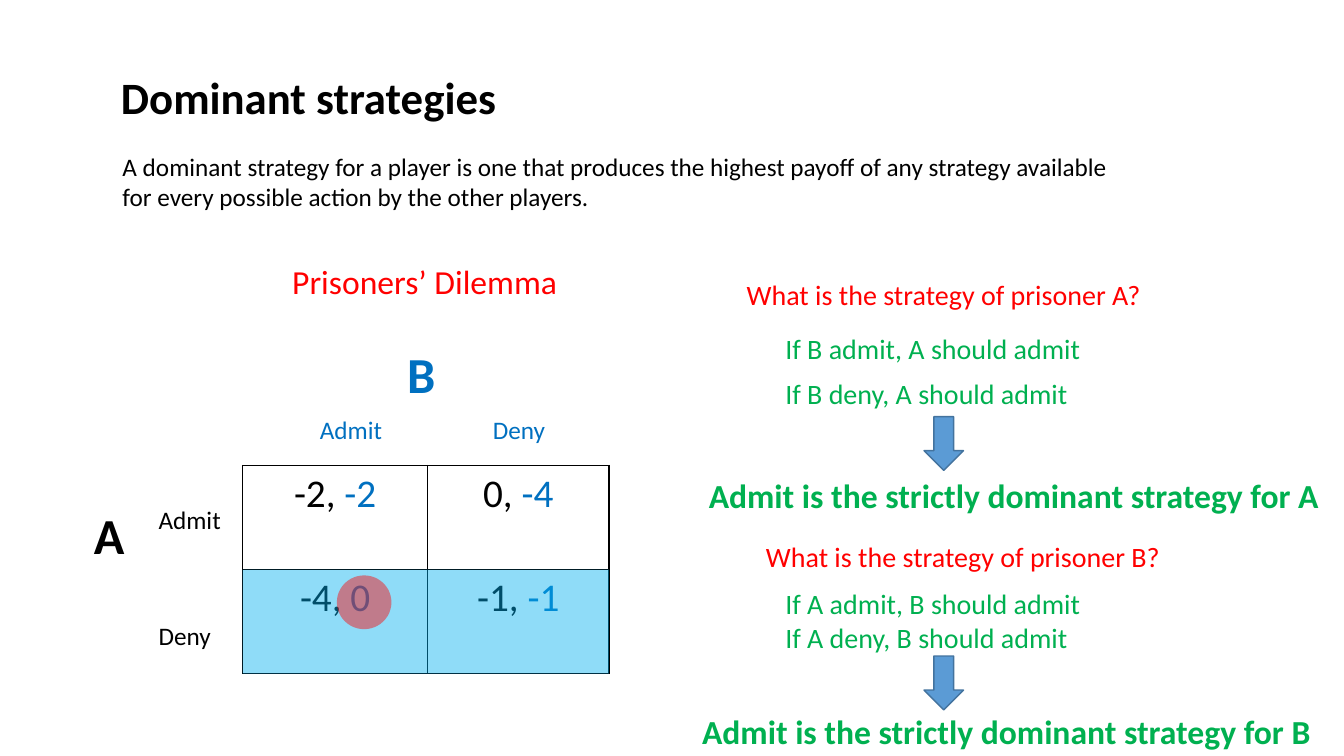
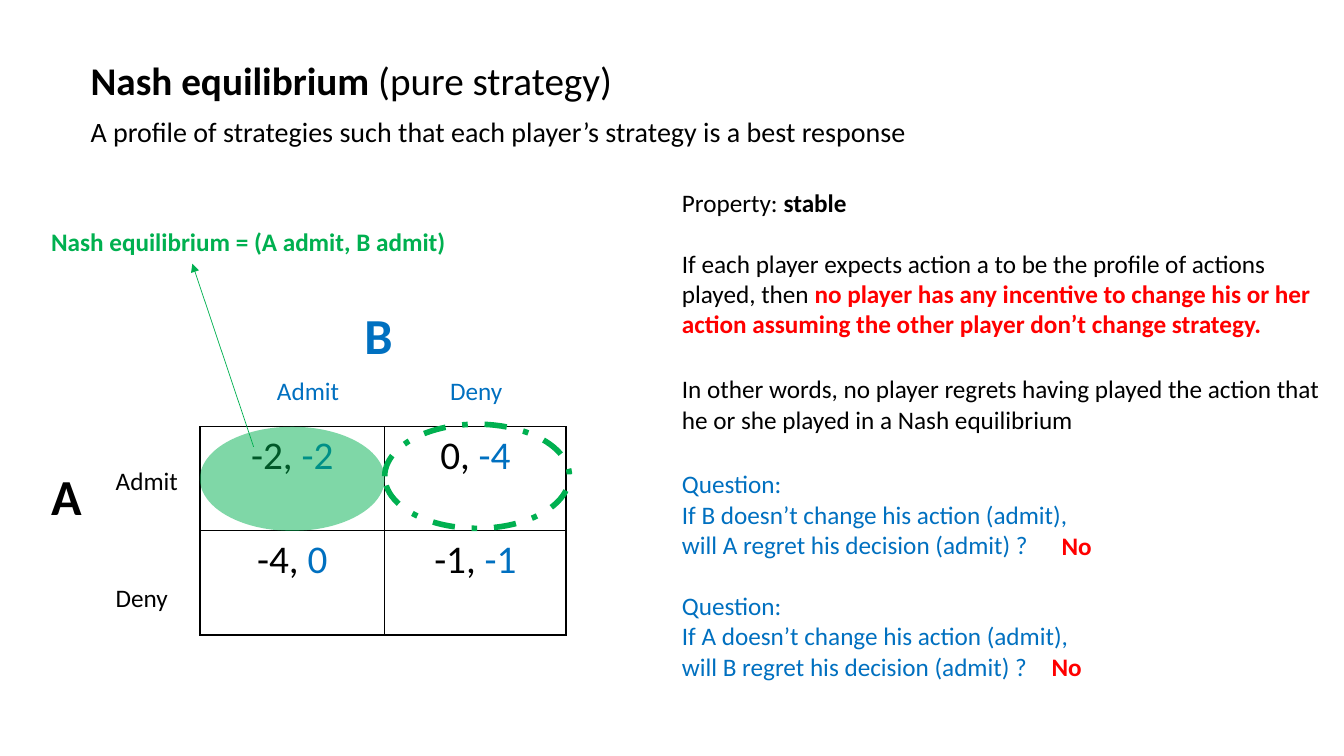
"""Builds two game theory slides on dominant strategies and Nash equilibrium."""
import lxml.etree
import pptx
import pptx.dml.color
import pptx.enum.dml
import pptx.enum.shapes
import pptx.enum.text
import pptx.oxml.ns
import pptx.util

RGBColor = pptx.dml.color.RGBColor
BLACK = RGBColor(0x00, 0x00, 0x00)
BLUE = RGBColor(0x00, 0x70, 0xC0)
RED = RGBColor(0xFF, 0x00, 0x00)
GREEN = RGBColor(0x00, 0xB0, 0x50)
SKY = RGBColor(0x00, 0xB0, 0xF0)
STEEL = RGBColor(0x5B, 0x9B, 0xD5)
STEEL_EDGE = RGBColor(0x43, 0x73, 0x9E)

FONT = "Calibri"
COLUMNS, ROWS = 160, 90
LEFT = pptx.enum.text.PP_ALIGN.LEFT
CENTER = pptx.enum.text.PP_ALIGN.CENTER
SHAPES = pptx.enum.shapes.MSO_SHAPE
qn = pptx.oxml.ns.qn

ACTIONS = ("Admit", "Deny")
PAYOFFS = ((("-2", "-2"), ("0", "-4")), (("-4", "0"), ("-1", "-1")))
CELL_WIDTHS = (22, 21.6)
CELL_HEIGHT = 12.4


class Deck:
    """Holds the style and the current slide; lengths are grid columns and rows."""

    def __init__(self):
        self.deck = pptx.Presentation()
        self.deck.slide_width = pptx.util.Inches(13.33)
        self.deck.slide_height = pptx.util.Inches(7.5)
        self.slide = None

    def x(self, columns):
        return round(self.deck.slide_width * columns / COLUMNS)

    def y(self, rows):
        return round(self.deck.slide_height * rows / ROWS)

    def box(self, left, top, width, height):
        return self.x(left), self.y(top), self.x(width), self.y(height)

    def add_runs(self, paragraph, runs, size, align=LEFT):
        paragraph.alignment = align
        for words, color, bold in runs:
            run = paragraph.add_run()
            run.text = words
            run.font.name = FONT
            run.font.size = pptx.util.Pt(size)
            run.font.bold = bold
            run.font.color.rgb = color

    def add_slide(self, left, top, width, size, *runs):
        self.slide = self.deck.slides.add_slide(self.deck.slide_layouts[5])
        title = self.slide.shapes.title
        title.left, title.top, title.width, title.height = self.box(
            left, top, width, 1.2 + size / 5)
        title.text_frame.word_wrap = False
        title.text_frame.auto_size = pptx.enum.text.MSO_AUTO_SIZE.NONE
        title.text_frame.vertical_anchor = pptx.enum.text.MSO_ANCHOR.TOP
        self.add_runs(title.text_frame.paragraphs[0], runs, size)

    def text(self, left, top, width, size, *paragraphs, lines=1, gap=0, wrap=True):
        area = self.box(left, top, width, 1.2 + lines * size / 5)
        frame = self.slide.shapes.add_textbox(*area).text_frame
        frame.word_wrap = wrap
        frame.auto_size = pptx.enum.text.MSO_AUTO_SIZE.SHAPE_TO_FIT_TEXT
        for number, runs in enumerate(paragraphs):
            paragraph = frame.add_paragraph() if number else frame.paragraphs[0]
            paragraph.space_before = pptx.util.Pt(gap if number else 0)
            self.add_runs(paragraph, runs, size)

    def label(self, left, top, width, size, words, color, bold=False, **options):
        self.text(left, top, width, size, [(words, color, bold)], **options)

    def shape(self, kind, left, top, width, height, fill=None, opacity=100,
              line=None, weight=1, dash=None):
        figure = self.slide.shapes.add_shape(kind, *self.box(left, top, width, height))
        figure.shadow.inherit = False
        if fill is None:
            figure.fill.background()
        else:
            figure.fill.solid()
            figure.fill.fore_color.rgb = fill
        if opacity < 100:
            color = figure._element.spPr.find(qn("a:solidFill"))[0]
            lxml.etree.SubElement(color, qn("a:alpha"), val=str(opacity * 1000))
        if line is None:
            figure.line.fill.background()
        else:
            figure.line.color.rgb = line
            figure.line.width = pptx.util.Pt(weight)
            figure.line.dash_style = dash

    def arrow(self, start, end, color, weight):
        pointer = self.slide.shapes.add_connector(
            pptx.enum.shapes.MSO_CONNECTOR.STRAIGHT,
            self.x(start[0]), self.y(start[1]), self.x(end[0]), self.y(end[1]))
        pointer.line.color.rgb = color
        pointer.line.width = pptx.util.Pt(weight)
        properties = pointer._element.spPr
        lxml.etree.SubElement(properties.find(qn("a:ln")), qn("a:tailEnd"), type="triangle")
        lxml.etree.SubElement(properties, qn("a:effectLst"))

    def border(self, cell):
        properties = cell._tc.get_or_add_tcPr()
        for side in ("a:lnL", "a:lnR", "a:lnT", "a:lnB"):
            edge = lxml.etree.SubElement(properties, qn(side), w=str(int(pptx.util.Pt(1))))
            ink = lxml.etree.SubElement(edge, qn("a:solidFill"))
            lxml.etree.SubElement(ink, qn("a:srgbClr"), val=str(BLACK))

    def payoff_matrix(self, left, top):
        area = self.box(left, top, sum(CELL_WIDTHS), 2 * CELL_HEIGHT)
        matrix = self.slide.shapes.add_table(2, 2, *area).table
        matrix.first_row = matrix.horz_banding = False
        for column, width in zip(matrix.columns, CELL_WIDTHS):
            column.width = self.x(width)
        for row, payoffs in zip(matrix.rows, PAYOFFS):
            row.height = self.y(CELL_HEIGHT)
            for cell, (payoff_a, payoff_b) in zip(row.cells, payoffs):
                self.border(cell)
                cell.fill.background()
                runs = [(payoff_a + ", ", BLACK, False), (payoff_b, BLUE, False)]
                self.add_runs(cell.text_frame.paragraphs[0], runs, 28, CENTER)
        self.label(left - 18.9, top + 4, 6.8, 36, "A", BLACK, True)
        self.label(left + 18.4, top - 15.2, 6.8, 36, "B", BLUE, True)
        for number, action in enumerate(ACTIONS):
            self.label(left + 8 + 20.6 * number, top - 6.7, 10.3, 18, action, BLUE)
            self.label(left - 11.2, top + 4 + 13.9 * number, 10.3, 18, action, BLACK)


def dominant_strategies(deck):
    """Adds the slide on dominant strategies."""
    deck.add_slide(13.2, 7.7, 47.5, 32, ("Dominant strategies", BLACK, True))
    deck.label(13.4, 17.4, 123.6, 18,
               "A dominant strategy for a player is one that produces the highest payoff "
               "of any strategy available for every possible action by the other players.",
               BLACK, lines=2)
    left, top = 28.9, 55.4
    deck.payoff_matrix(left, top)
    deck.label(33.6, 30.5, 34.2, 24, "Prisoners’ Dilemma", RED, wrap=False)
    deck.shape(SHAPES.RECTANGLE, left, top + CELL_HEIGHT, sum(CELL_WIDTHS), CELL_HEIGHT,
               SKY, 44)
    deck.shape(SHAPES.OVAL, left + 11.2, top + 13.1, 6.5, 6.4, RED, 44)

    reasoning = (
        ("A", "B", 87.7, 32.5, (38.9, 44.2), 49.6, 83.2, 56),
        ("B", "A", 90, 63.6, (69.2, 73.3), 78.1, 82.4, 84),
    )
    for (player, rival, question_left, question_top, answer_tops,
         arrow_top, verdict_left, verdict_top) in reasoning:
        deck.label(question_left, question_top, 66.2, 20,
                   f"What is the strategy of prisoner {player}?", RED)
        for action, answer_top in zip(ACTIONS, answer_tops):
            deck.label(92.3, answer_top, 66.2, 20,
                       f"If {rival} {action.lower()}, {player} should admit", GREEN)
        deck.shape(SHAPES.DOWN_ARROW, 110, arrow_top, 4.7, 6.4, STEEL, line=STEEL_EDGE)
        deck.label(verdict_left, verdict_top, 76.9, 24,
                   f"Admit is the strictly dominant strategy for {player}", GREEN, True)


def nash_equilibrium(deck):
    """Adds the slide on Nash equilibrium."""
    deck.add_slide(9.6, 6.1, 65.3, 28, ("Nash equilibrium ", BLACK, True),
                   ("(pure strategy)", BLACK, False))
    deck.label(9.6, 13, 134, 20,
               "A profile of strategies such that each player’s strategy is a best response",
               BLACK)
    left, top = 23.8, 50.8
    deck.payoff_matrix(left, top)
    deck.shape(SHAPES.OVAL, left, top, CELL_WIDTHS[0], CELL_HEIGHT, GREEN, 50)
    deck.shape(SHAPES.OVAL, left + CELL_WIDTHS[0], top - 0.3, CELL_WIDTHS[0], CELL_HEIGHT,
               line=GREEN, weight=4, dash=pptx.enum.dml.MSO_LINE.DASH_DOT)
    deck.label(4.9, 26.3, 51.2, 18, "Nash equilibrium = (A admit, B admit)", GREEN, True,
               wrap=False)
    deck.arrow((30.2, 53.2), (22.9, 31.4), GREEN, 0.5)

    deck.text(80, 21.7, 80, 18,
              [("Property: ", BLACK, False), ("stable", BLACK, True)],
              [("If each player expects action a to be the profile of actions played, then ",
                BLACK, False),
               ("no player has any incentive to change his or her action assuming "
                "the other player don’t change strategy.", RED, True)],
              lines=5, gap=22)
    deck.label(80, 43.9, 80, 18,
               "In other words, no player regrets having played the action that "
               "he or she played in a Nash equilibrium", BLACK, lines=2)
    for steady, player, question_top, answer_left, answer_top in (
            ("B", "A", 55.2, 125.2, 62.5), ("A", "B", 69.7, 124, 76.9)):
        question = ("Question:", f"If {steady} doesn’t change his action (admit),",
                    f"will {player} regret his decision (admit) ?")
        deck.text(80, question_top, 72.7, 18,
                  *([(words, BLUE, False)] for words in question), lines=3)
        deck.label(answer_left, answer_top, 9.4, 18, "No", RED, True)


def main():
    """Builds and saves the deck."""
    deck = Deck()
    dominant_strategies(deck)
    nash_equilibrium(deck)
    deck.deck.save("out.pptx")


if __name__ == "__main__":
    main()
